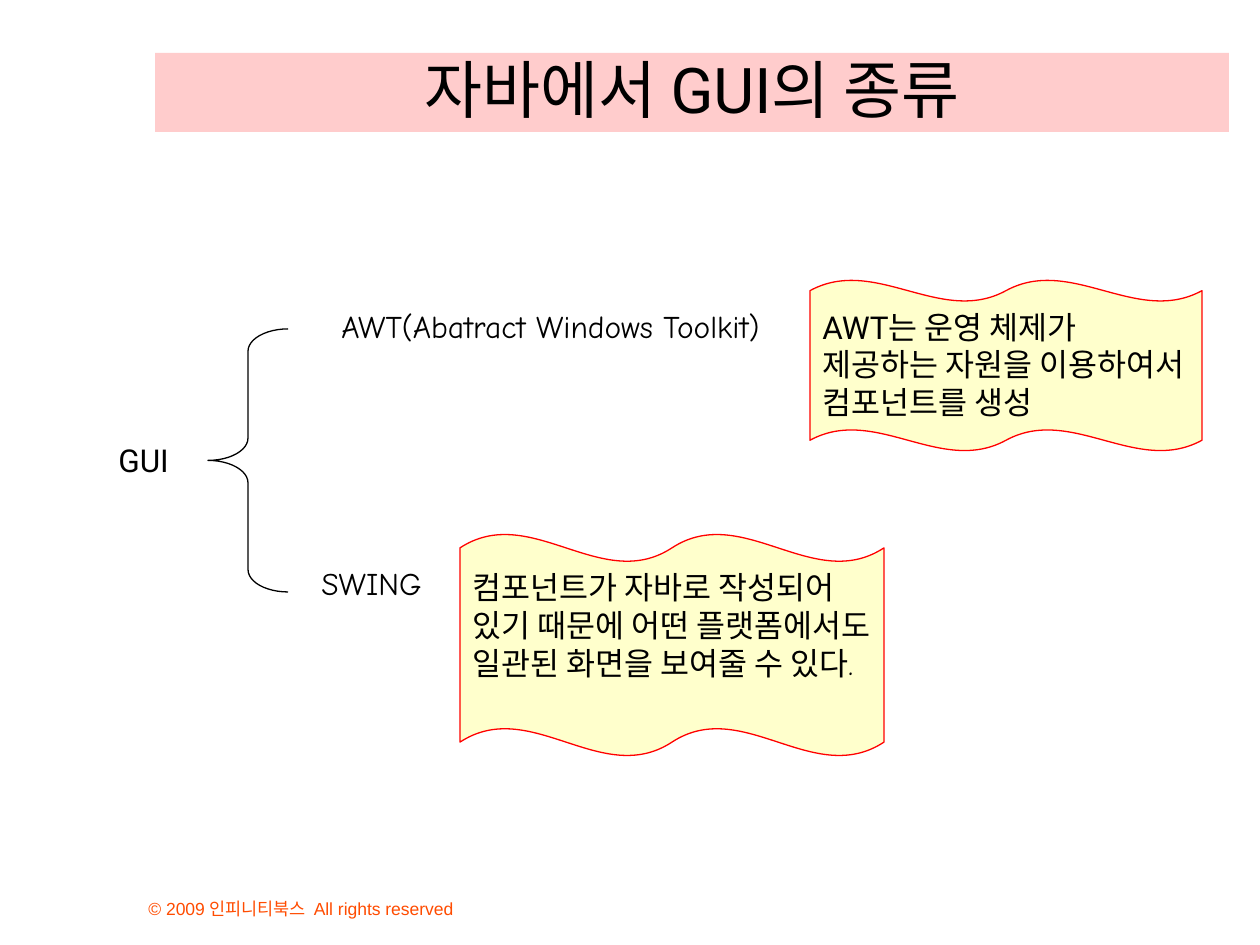
"""Build a slide that sorts the kinds of GUI in Java."""
from pptx import Presentation
from pptx.dml.color import RGBColor
from pptx.enum.shapes import MSO_SHAPE
from pptx.enum.text import MSO_ANCHOR, MSO_AUTO_SIZE, PP_ALIGN
from pptx.util import Pt

BRACE, WAVE = MSO_SHAPE.LEFT_BRACE, MSO_SHAPE.DOUBLE_WAVE
TOP, BOTTOM = MSO_ANCHOR.TOP, MSO_ANCHOR.BOTTOM
LEFT, CENTER = PP_ALIGN.LEFT, PP_ALIGN.CENTER
NO_FIT = MSO_AUTO_SIZE.NONE

BLACK = RGBColor(0x00, 0x00, 0x00)
RED = RGBColor(0xFF, 0x00, 0x00)
PINK = RGBColor(0xFF, 0xCC, 0xCC)
CREAM = RGBColor(0xFF, 0xFF, 0xCC)
ORANGE = RGBColor(0xFF, 0x4C, 0x00)

PX = 914400 / 126

TITLE = ("자바에서 GUI의 종류", (155, 53, 1074, 79))
FOOTER = ("© 2009 인피니티북스  All rights reserved", (136, 872, 483, 53))
BRACE_BOX = (208, 329, 80, 263)
LABELS = [
    ("GUI", "Roboto", (106, 435, 82, 50)),
    ("AWT(Abatract Windows Toolkit)", "Comic Neue", (329, 301, 449, 50)),
    ("SWING", "Comic Neue", (309, 558, 125, 50)),
]
NOTES = [
    ("AWT는 운영 체제가 제공하는 자원을 이용하여서 컴포넌트를 생성",
     "Roboto", (810, 280, 392, 171)),
    ("컴포넌트가 자바로 작성되어 있기 때문에 어떤 플랫폼에서도 일관된 화면을 보여줄 수 있다.",
     "Comic Neue", (460, 534, 424, 222)),
]


def emu(box):
    return [round(v * PX) for v in box]


def write(shape, text, font, size, color=BLACK, align=LEFT, anchor=TOP, wrap=True):
    tf = shape.text_frame
    tf.auto_size = NO_FIT
    tf.word_wrap = wrap
    tf.vertical_anchor = anchor
    p = tf.paragraphs[0]
    p.alignment = align
    r = p.add_run()
    r.text = text
    r.font.name = font
    r.font.size = Pt(size)
    r.font.color.rgb = color


def add_outline(s, kind, box, color):
    shape = s.shapes.add_shape(kind, *emu(box))
    shape.shadow.inherit = False
    shape.line.color.rgb = color
    shape.line.width = Pt(0.75)
    return shape


def main():
    prs = Presentation()
    prs.slide_width, prs.slide_height = emu((1260, 945))
    s = prs.slides.add_slide(prs.slide_layouts[5])

    text, box = TITLE
    title = s.shapes.title
    title.left, title.top, title.width, title.height = emu(box)
    title.fill.solid()
    title.fill.fore_color.rgb = PINK
    write(title, text, "Roboto", 36, align=CENTER, anchor=BOTTOM)

    text, box = FOOTER
    write(s.shapes.add_textbox(*emu(box)), text, "Arial", 10, ORANGE, anchor=BOTTOM)

    brace = add_outline(s, BRACE, BRACE_BOX, BLACK)
    brace.fill.background()
    brace.adjustments[0] = 0.28

    for text, font, box in LABELS:
        write(s.shapes.add_textbox(*emu(box)), text, font, 18, wrap=False)

    for text, font, box in NOTES:
        note = add_outline(s, WAVE, box, RED)
        note.fill.solid()
        note.fill.fore_color.rgb = CREAM
        write(note, text, font, 18)

    prs.save("out.pptx")


if __name__ == "__main__":
    main()
